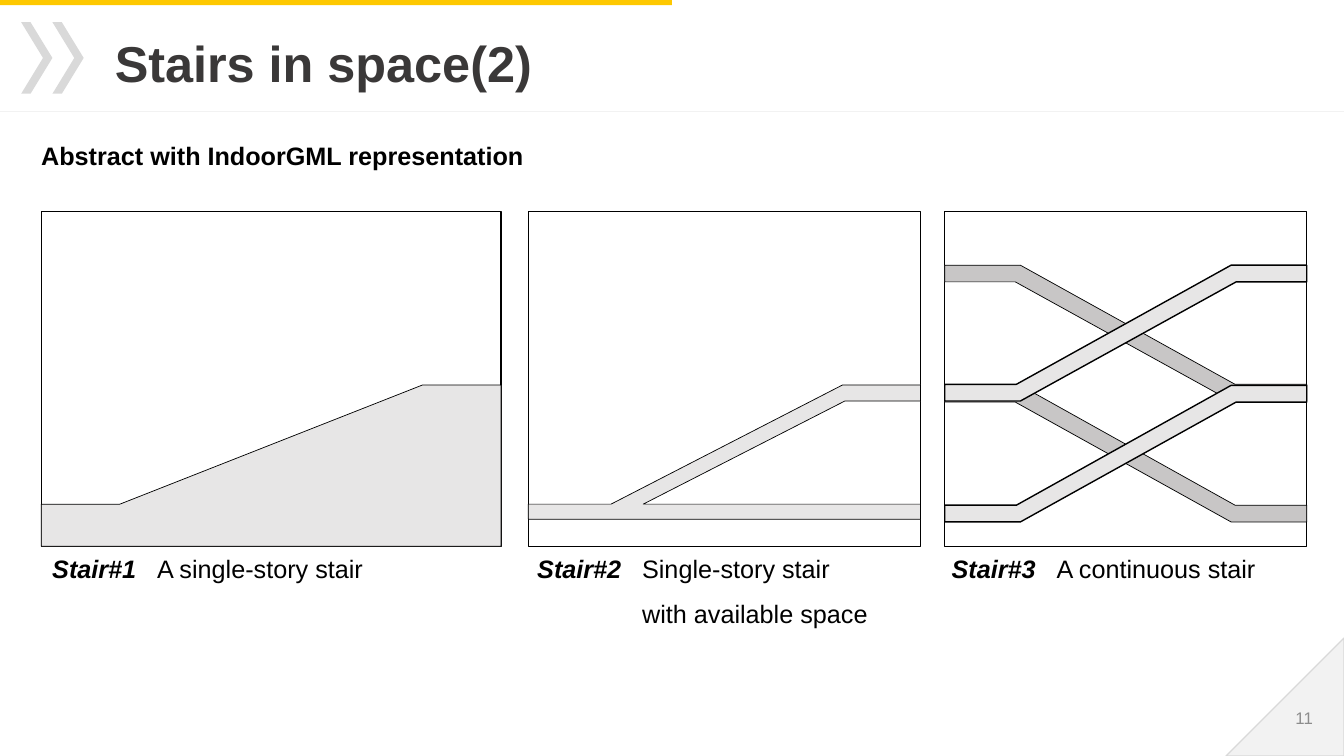
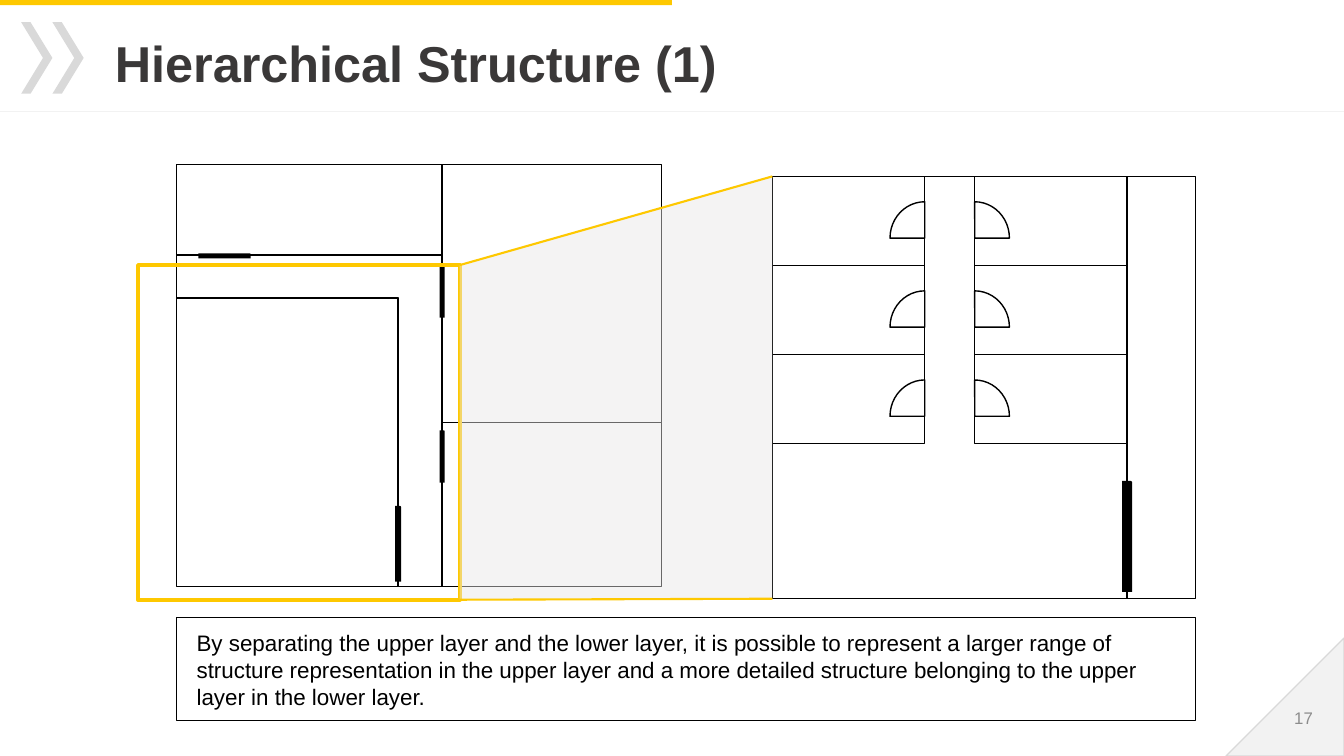
from dataclasses import dataclass

from lxml.etree import SubElement
from pptx import Presentation
from pptx.dml.color import RGBColor
from pptx.enum.shapes import MSO_CONNECTOR, MSO_SHAPE
from pptx.enum.text import MSO_ANCHOR, PP_ALIGN
from pptx.oxml.ns import qn
from pptx.util import Inches, Pt

W, H = 13.33, 7.5
FONT = "Arial"
BLACK = RGBColor(0x00, 0x00, 0x00)
WHITE = RGBColor(0xFF, 0xFF, 0xFF)
YELLOW = RGBColor(0xFE, 0xC8, 0x00)
TITLE = RGBColor(0x3A, 0x38, 0x38)
NUMBER = RGBColor(0x8C, 0x8C, 0x8C)
PALE = RGBColor(0xF2, 0xF2, 0xF2)
SILVER = RGBColor(0xD9, 0xD9, 0xD9)
LIGHT = RGBColor(0xE7, 0xE6, 0xE6)
DARK = RGBColor(0xC8, 0xC6, 0xC6)


@dataclass
class Box:
    x: float
    y: float
    w: float
    h: float

    def point(self, px, py):
        return self.x + self.w * px / 100, self.y + self.h * py / 100

    def area(self, px, py, pw, ph):
        return Box(*self.point(px, py), self.w * pw / 100, self.h * ph / 100)

    def emu(self):
        return [Inches(v) for v in (self.x, self.y, self.w, self.h)]


def style(sp, fill=None, line=None, width=1):
    sp.shadow.inherit = False
    if fill is None:
        sp.fill.background()
    else:
        sp.fill.solid()
        sp.fill.fore_color.rgb = fill
    if line is None:
        sp.line.fill.background()
    else:
        sp.line.color.rgb = line
        sp.line.width = Pt(width)
    return sp


def add_shape(s, box, kind=MSO_SHAPE.RECTANGLE, adj=(), **look):
    sp = s.shapes.add_shape(kind, *box.emu())
    for i, value in enumerate(adj):
        sp.adjustments[i] = value
    return style(sp, **look)


def add_polygon(s, points, **look):
    pts = [(Inches(x), Inches(y)) for x, y in points]
    fb = s.shapes.build_freeform(*pts[0], scale=1.0)
    fb.add_line_segments(pts[1:], close=True)
    return style(fb.convert_to_shape(), **look)


def add_line(s, start, end, color, width):
    ends = [Inches(v) for v in (*start, *end)]
    cn = s.shapes.add_connector(MSO_CONNECTOR.STRAIGHT, *ends)
    cn.line.color.rgb = color
    cn.line.width = Pt(width)
    SubElement(cn._element.spPr, qn("a:effectLst"))


def add_run(p, text, size=18, color=BLACK, bold=False, italic=False):
    r = p.add_run()
    r.text = text
    r.font.name, r.font.size = FONT, Pt(size)
    r.font.bold, r.font.italic = bold, italic
    r.font.color.rgb = color


def add_text(s, box, text, anchor=MSO_ANCHOR.TOP, align=PP_ALIGN.LEFT,
             spacing=None, **font):
    tf = s.shapes.add_textbox(*box.emu()).text_frame
    tf.word_wrap = True
    tf.vertical_anchor = anchor
    p = tf.paragraphs[0]
    p.alignment = align
    if spacing:
        p.line_spacing = spacing
    if text:
        add_run(p, text, **font)
    return tf


def base_slide(prs, title, number):
    s = prs.slides.add_slide(prs.slide_layouts[6])
    add_shape(s, Box(0, 0, W / 2, 0.05), fill=YELLOW)
    add_line(s, (0, 1.1), (W, 1.1), PALE, 0.5)
    for i in range(2):
        add_shape(s, Box(0.21 + 0.31 * i, 0.22, 0.31, 0.71),
                  MSO_SHAPE.CHEVRON, [0.7], fill=SILVER)
    corner = 1.17
    add_shape(s, Box(W - corner, H - corner, corner, corner),
              MSO_SHAPE.RIGHT_TRIANGLE, fill=PALE, line=SILVER).rotation = 270
    add_text(s, Box(1.04, 0.26, 11.5, 0.79), title, anchor=MSO_ANCHOR.MIDDLE,
             spacing=0.9, size=36, color=TITLE, bold=True)
    add_text(s, Box(10.12, 6.92, 3, 0.4), number, anchor=MSO_ANCHOR.MIDDLE,
             align=PP_ALIGN.RIGHT, size=12, color=NUMBER)
    return s


def flight(low, top, mirror=False):
    t = 5
    pts = [(0, low), (19.8, low), (79.1, top), (100, top), (100, top + t),
           (80.5, top + t), (20.9, low + t), (0, low + t)]
    return [(100 - x, y) for x, y in pts] if mirror else pts


def stair_panel(s, box, name, lines, polygons, shift):
    add_shape(s, box, fill=WHITE, line=BLACK)
    for points, fill, width in polygons:
        add_polygon(s, [box.point(*pt) for pt in points],
                    fill=fill, line=BLACK, width=width)
    tf = add_text(s, Box(box.x + shift, box.y + box.h + 0.02, box.w, 0.4 * len(lines)), "")
    indent = Inches(1.04)
    for i, text in enumerate(lines):
        p = tf.add_paragraph() if i else tf.paragraphs[0]
        pPr = p._p.get_or_add_pPr()
        pPr.set("marL", str(indent))
        pPr.set("indent", str(0 if i else -indent))
        if i:
            p.line_spacing = 1.5
        else:
            add_run(p, name + "\t", bold=True, italic=True)
        add_run(p, text)


def stairs_slide(prs):
    s = base_slide(prs, "Stairs in space(2)", "11")
    add_text(s, Box(0.31, 1.34, 6.26, 0.4),
             "Abstract with IndoorGML representation", bold=True)
    solid = [(0, 87.4), (17.1, 87.4), (82.9, 51.8), (100, 51.8), (100, 100), (0, 100)]
    branch = [(0, 87.4), (21.1, 87.4), (80.1, 51.8), (100, 51.8), (100, 56.6),
              (80.7, 56.6), (29.3, 87.4), (100, 87.4), (100, 91.9), (0, 91.9)]
    floors = [(51.6, 16), (87.7, 51.9)]
    crossing = [(flight(*f, mirror), fill, width)
                for mirror, fill, width in ((True, DARK, 0.5), (False, LIGHT, 1))
                for f in floors]
    panels = [
        (0.41, 4.56, ["A single-story stair"], [(solid, LIGHT, 0.5)], 0.01),
        (5.24, 3.89, ["Single-story stair", "with available space"],
         [(branch, LIGHT, 0.5)], -0.01),
        (9.37, 3.59, ["A continuous stair"], crossing, -0.03),
    ]
    for i, (x, w, lines, polygons, shift) in enumerate(panels, 1):
        stair_panel(s, Box(x, 2.1, w, 3.32), f"Stair#{i}", lines, polygons, shift)


def add_rooms(s, box, rooms, doors):
    for room in rooms:
        add_shape(s, box.area(*room), fill=WHITE, line=BLACK)
    for door in doors:
        add_shape(s, box.area(*door), MSO_SHAPE.ROUND_1_RECTANGLE, fill=BLACK)


def upper_layer(s, box):
    wall, hall, top, bend, mid = 45.7, 54.8, 21.5, 31.7, 61.1
    corridor = [(0, top), (hall, top), (hall, 100), (wall, 100), (wall, bend), (0, bend)]
    add_polygon(s, [box.point(*pt) for pt in corridor], fill=WHITE, line=BLACK)
    rooms = [(hall, 0, 100 - hall, mid), (0, 0, hall, top),
             (hall, mid, 100 - hall, 100 - mid), (0, bend, wall, 100 - bend)]
    doors = [(45.1, 80.9, 1.2, 17.9), (54.3, 63, 1, 12.4),
             (54.3, 23.9, 1, 12.4), (4.5, 21.1, 10.8, 1.2)]
    add_rooms(s, box, rooms, doors)


def lower_layer(s, box):
    main, stall, row = 83.8, 36, 21.1
    add_rooms(s, box, [(0, 0, main, 100), (main, 0, 100 - main, 100)],
              [(82.6, 72.1, 2.4, 26.3)])
    pw, ph = 16.4, 17.2
    for left, hinge, arc in ((0, stall, (108, 162)), (main - stall, main - stall, (162, 0))):
        for i in range(3):
            add_shape(s, box.area(left, row * i, stall, row), line=BLACK)
            add_shape(s, box.area(hinge - pw / 2, row * i + 6, pw, ph),
                      MSO_SHAPE.PIE, arc, line=BLACK)


def zoom(s, source, target):
    add_shape(s, source, line=YELLOW, width=3)
    corners = [source.point(100, 0), target.point(0, 0),
               target.point(0, 100), source.point(100, 100)]
    sp = add_polygon(s, corners, fill=LIGHT)
    clr = sp._element.spPr.find(qn("a:solidFill")).find(qn("a:srgbClr"))
    SubElement(clr, qn("a:alpha"), val="45000")
    add_line(s, corners[0], corners[1], YELLOW, 1.5)
    add_line(s, corners[3], corners[2], YELLOW, 1.5)


def remark(s, box, text):
    tf = add_shape(s, box, fill=WHITE, line=BLACK, width=0.75).text_frame
    tf.word_wrap = True
    tf.vertical_anchor = MSO_ANCHOR.MIDDLE
    tf.margin_left = tf.margin_right = Inches(0.2)
    tf.margin_top = tf.margin_bottom = Inches(0.16)
    p = tf.paragraphs[0]
    p.alignment = PP_ALIGN.LEFT
    add_run(p, text, size=16)


def hierarchy_slide(prs):
    s = base_slide(prs, "Hierarchical Structure (1)", "17")
    detail = Box(7.66, 1.75, 4.2, 4.19)
    upper_layer(s, Box(1.75, 1.63, 4.81, 4.19))
    lower_layer(s, detail)
    zoom(s, Box(1.37, 2.63, 3.19, 3.32), detail)
    remark(s, Box(1.75, 6.13, 10.11, 1.02),
           "By separating the upper layer and the lower layer, it is possible to "
           "represent a larger range of structure representation in the upper layer "
           "and a more detailed structure belonging to the upper layer in the lower layer.")


def main():
    prs = Presentation()
    prs.slide_width, prs.slide_height = Inches(W), Inches(H)
    stairs_slide(prs)
    hierarchy_slide(prs)
    prs.save("out.pptx")


if __name__ == "__main__":
    main()
